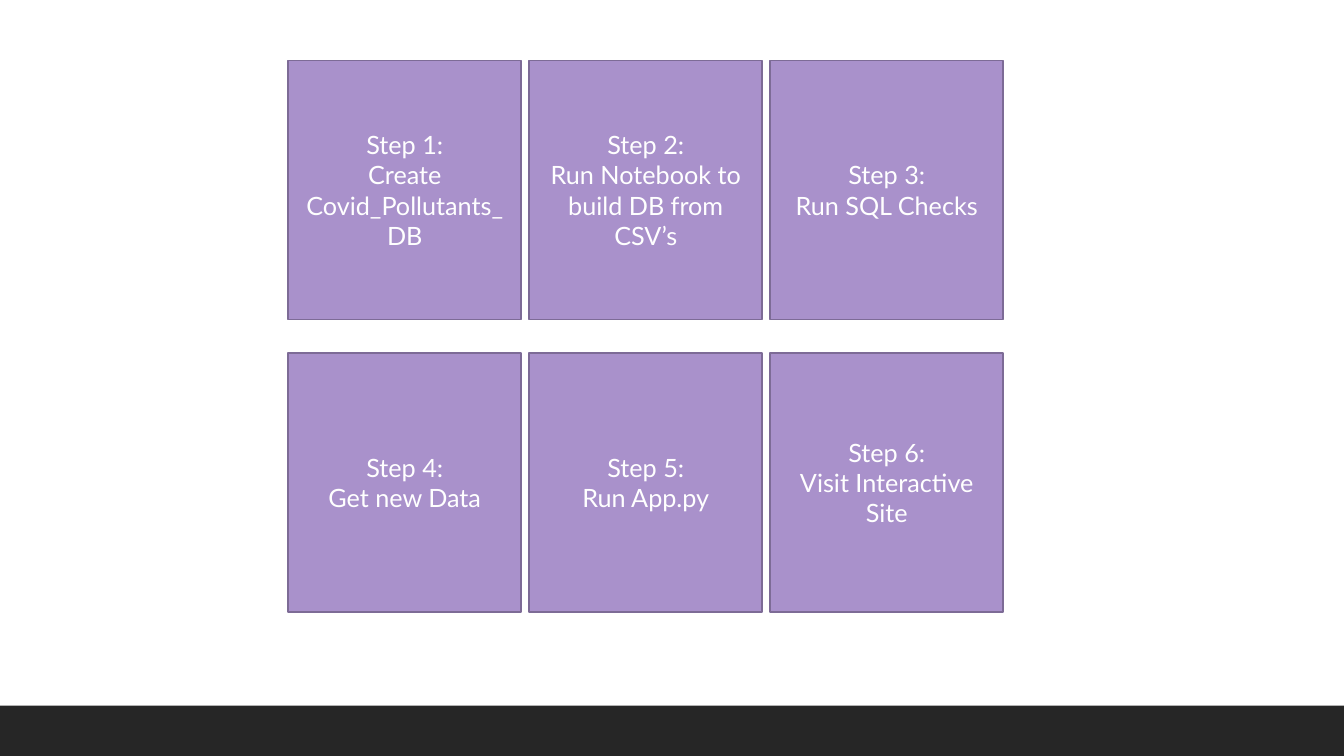
from dataclasses import dataclass

from pptx import Presentation
from pptx import util as u
from pptx.dml import color
from pptx.enum import shapes, text
from pptx.shapes.autoshape import Shape
from pptx.slide import Slide
from pptx.text.text import TextFrame


@dataclass(frozen=True)
class Theme:
    card: str = "A991CB"
    edge: str = "7D6B96"
    band: str = "262626"
    ink: str = "FFFFFF"
    font: str = "Lato"
    size: float = 18
    stroke: float = 1.25


@dataclass(frozen=True)
class Grid:
    """Card grid in inches; a pitch runs from one card's start to the next."""
    left: float = 2.86
    top: float = 0.6
    width: float = 2.31
    height: float = 2.57
    pitch_x: float = 2.39
    pitch_y: float = 2.9
    cols: int = 3


@dataclass(frozen=True)
class Step:
    number: int
    task: str


THEME = Theme()
GRID = Grid()
WIDTH, HEIGHT = 13.33, 7.5
BAND = 0.5
TASKS = (
    "Create Covid_Pollutants_DB",
    "Run Notebook to build DB from CSV’s",
    "Run SQL Checks",
    "Get new Data",
    "Run App.py",
    "Visit Interactive Site",
)
STEPS = [Step(number, task) for number, task in enumerate(TASKS, 1)]


def paint(code: str) -> color.RGBColor:
    return color.RGBColor.from_string(code)


def add_box(slide: Slide, left: float, top: float, width: float,
            height: float, fill: str) -> Shape:
    box = slide.shapes.add_shape(
        shapes.MSO_SHAPE.RECTANGLE,
        *(u.Inches(side) for side in (left, top, width, height)))
    box.shadow.inherit = False
    box.fill.solid()
    box.fill.fore_color.rgb = paint(fill)
    box.line.fill.background()
    return box


def add_line(frame: TextFrame, words: str, first: bool) -> None:
    """Write one centred paragraph, reusing the frame's first one."""
    para = frame.paragraphs[0] if first else frame.add_paragraph()
    para.alignment = text.PP_ALIGN.CENTER
    run = para.add_run()
    run.text = words
    run.font.name = THEME.font
    run.font.size = u.Pt(THEME.size)
    run.font.color.rgb = paint(THEME.ink)


def add_card(slide: Slide, step: Step) -> None:
    row, col = divmod(step.number - 1, GRID.cols)
    card = add_box(slide, GRID.left + col * GRID.pitch_x,
                   GRID.top + row * GRID.pitch_y,
                   GRID.width, GRID.height, THEME.card)
    card.line.color.rgb = paint(THEME.edge)
    card.line.width = u.Pt(THEME.stroke)
    frame = card.text_frame
    frame.word_wrap = True
    frame.vertical_anchor = text.MSO_ANCHOR.MIDDLE
    add_line(frame, f"Step {step.number}:", True)
    add_line(frame, step.task, False)


def main() -> None:
    deck = Presentation()
    deck.slide_width = u.Inches(WIDTH)
    deck.slide_height = u.Inches(HEIGHT)
    slide = deck.slides.add_slide(deck.slide_layouts[6])
    add_box(slide, 0, HEIGHT - BAND, WIDTH, BAND, THEME.band)
    for step in STEPS:
        add_card(slide, step)
    deck.save("out.pptx")


if __name__ == "__main__":
    main()
